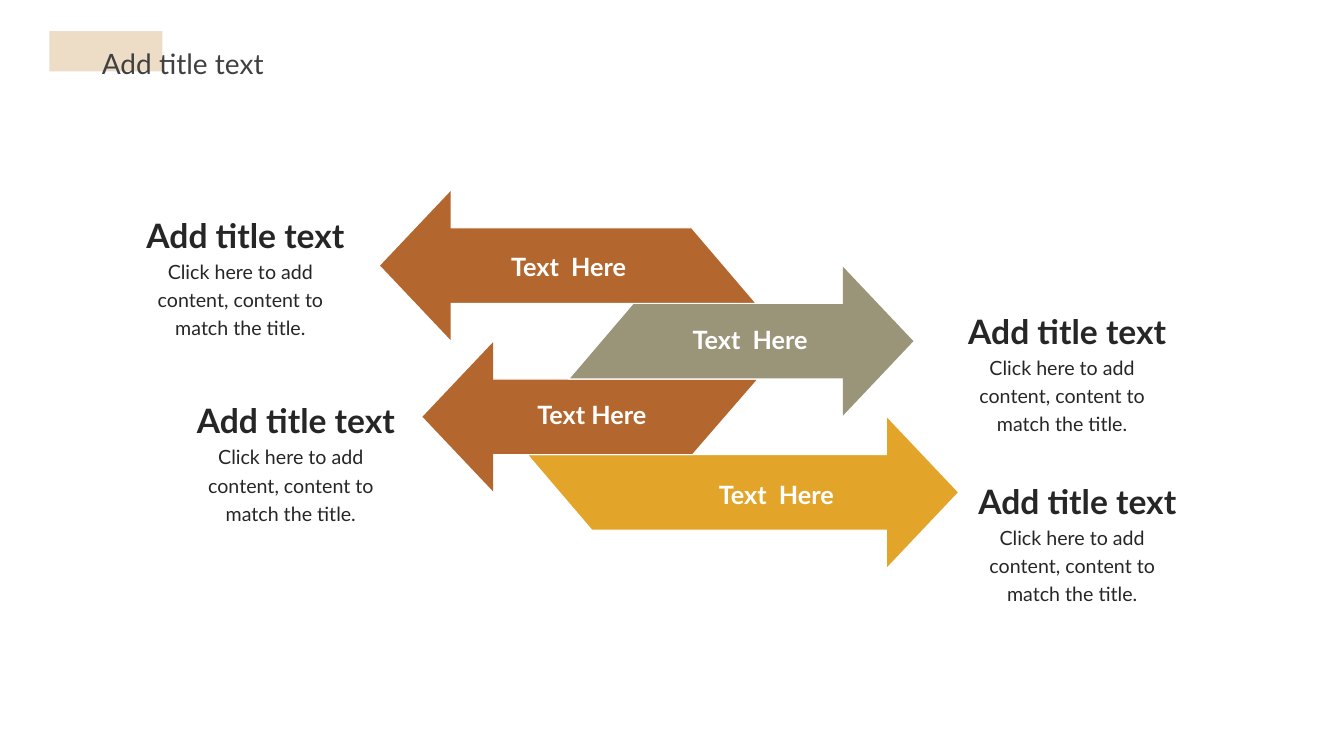
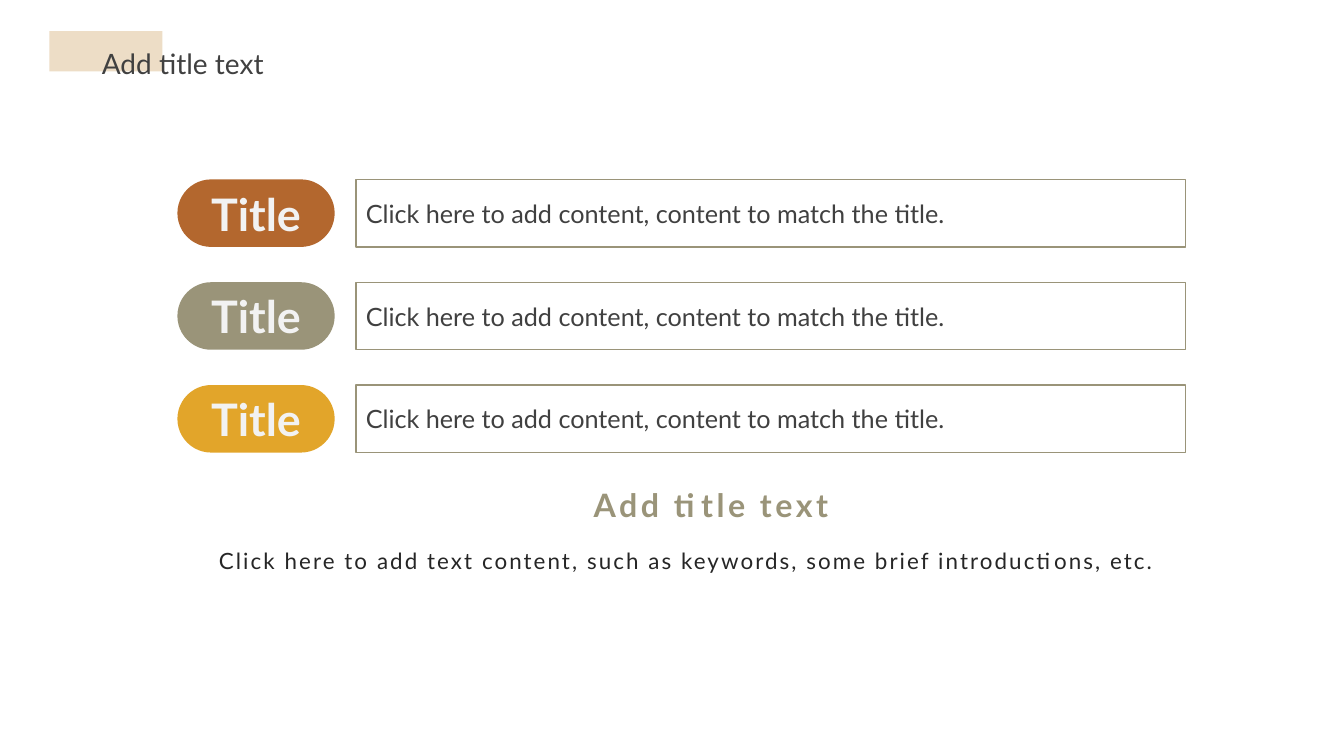
"""Build two slides: staggered arrows with captions, and a list of titled rows."""
from pptx import Presentation
from pptx.dml.color import RGBColor
from pptx.enum.shapes import MSO_SHAPE
from pptx.enum.text import MSO_ANCHOR, PP_ALIGN
from pptx.util import Inches, Pt


class Theme:
    """Colours, font and type formats of the deck."""
    font = "Lato"
    sand, rust, sage, gold = "EDDDC6", "B3672E", "9A9479", "E2A52A"
    white, pale, ink, grey = "FFFFFF", "F2F2F2", "262626", "404040"
    title = {"size": 20, "color": grey, "align": PP_ALIGN.JUSTIFY, "lead": 1.5}
    label = {"size": 18, "color": white, "bold": True, "align": PP_ALIGN.CENTER}
    head = {"size": 24, "color": ink, "bold": True, "align": PP_ALIGN.CENTER,
            "anchor": MSO_ANCHOR.BOTTOM, "inset": 0}
    note = {"size": 14, "color": ink, "align": PP_ALIGN.CENTER, "lead": 1.2,
            "inset": 0}
    pill = {"size": 32, "color": pale, "bold": True, "align": PP_ALIGN.CENTER,
            "anchor": MSO_ANCHOR.MIDDLE}
    row = {"size": 18, "color": grey, "anchor": MSO_ANCHOR.MIDDLE}
    sub = {"size": 23, "color": sage, "bold": True, "track": 2.5}
    foot = {"size": 16, "color": ink, "align": PP_ALIGN.CENTER, "lead": 1.5,
            "after": 15, "indent": 0.51, "track": 1.5}


TITLE = "Add title text"
NOTE = "Click here to add content, content to match the title."
FOOT = ("Click here to add text content, such as keywords, "
        "some brief introductions, etc.")

# colour, tip x, far end at top, far end at bottom, label, label x, label y
ARROWS = [
    (Theme.rust, 3.77, 6.86, 7.5, "Text  Here", 4.71, 2.44),
    (Theme.sage, 9.06, 6.28, 5.64, "Text  Here", 6.51, 3.17),
    (Theme.rust, 4.19, 7.52, 6.87, "Text Here", 4.94, 3.91),
    (Theme.gold, 9.5, 5.23, 5.87, "Text  Here", 6.77, 4.71),
]
NOTES = [(1.35, 2.07), (1.85, 3.91), (9.5, 3.02), (9.6, 4.71)]
ROWS = [("Title", NOTE, tone) for tone in (Theme.rust, Theme.sage, Theme.gold)]

TOP, PITCH = 2.26, 0.75
HEAD, REACH, LAP = 0.7, 0.74, 0.62


def rgb(tone):
    """Turn a hex string into a colour."""
    return RGBColor.from_string(tone)


def write(shape, text, style):
    """Fill a shape with one formatted paragraph."""
    frame = shape.text_frame
    frame.text = text
    para = frame.paragraphs[0]
    run = para.runs[0]
    x, y = (style.get("inset", side) for side in (0.1, 0.05))
    formats = [
        (frame, {"word_wrap": True,
                 "vertical_anchor": style.get("anchor", MSO_ANCHOR.TOP),
                 "margin_left": Inches(x), "margin_right": Inches(x),
                 "margin_top": Inches(y), "margin_bottom": Inches(y)}),
        (para, {"alignment": style.get("align", PP_ALIGN.LEFT),
                "line_spacing": style.get("lead", 1.0),
                "space_before": Pt(0),
                "space_after": Pt(style.get("after", 0))}),
        (run.font, {"name": Theme.font, "size": Pt(style["size"]),
                    "bold": style.get("bold", False)}),
    ]
    for part, values in formats:
        for name, value in values.items():
            setattr(part, name, value)
    run.font.color.rgb = rgb(style["color"])
    if "track" in style:
        run.font._element.set("spc", str(int(style["track"] * 100)))
    if "indent" in style:
        para._p.get_or_add_pPr().set("indent", str(Inches(style["indent"])))


def paint(shape, fill=None, line=None, width=1):
    """Set the fill and outline of a shape and drop its shadow."""
    shape.shadow.inherit = False
    if fill:
        shape.fill.solid()
        shape.fill.fore_color.rgb = rgb(fill)
    else:
        shape.fill.background()
    if line:
        shape.line.color.rgb = rgb(line)
        shape.line.width = Pt(width)
    else:
        shape.line.fill.background()
    return shape


def block(slide, kind, box, **look):
    """Add a painted preset shape."""
    return paint(slide.shapes.add_shape(kind, *map(Inches, box)), **look)


def label(slide, text, box, style):
    """Add a text box."""
    write(slide.shapes.add_textbox(*map(Inches, box)), text, style)


def outline(slide, points, **look):
    """Add a painted closed outline."""
    first, *rest = [(Inches(x), Inches(y)) for x, y in points]
    pen = slide.shapes.build_freeform(*first)
    pen.add_line_segments(rest, close=True)
    paint(pen.convert_to_shape(), **look)


def start(deck):
    """Add a slide with its band and title."""
    slide = deck.slides.add_slide(deck.slide_layouts[5])
    band = block(slide, MSO_SHAPE.RECTANGLE, (0.49, 0.31, 1.12, 0.4),
                 fill=Theme.sand)
    title = slide.shapes.title
    title._element.addprevious(band._element)
    names = ("left", "top", "width", "height")
    for name, value in zip(names, (0.91, 0.24, 3.5, 0.55)):
        setattr(title, name, Inches(value))
    write(title, TITLE, Theme.title)
    return slide


def arrow(slide, step, tone, tip, upper, lower):
    """Draw a slanted shaft and its head on the given step."""
    top = TOP + step * PITCH
    low, mid = top + PITCH, top + PITCH / 2
    way = 1 if upper > tip else -1
    neck, base = tip + way * LAP, tip + way * HEAD
    outline(slide, [(neck, top), (upper, top), (lower, low), (neck, low)],
            fill=tone, line=Theme.white, width=0.75)
    outline(slide, [(tip, mid), (base, mid - REACH), (base, mid + REACH)],
            fill=tone)


def arrows(deck):
    """Build the slide of arrows."""
    slide = start(deck)
    for step, (tone, tip, upper, lower, *_) in reversed(list(enumerate(ARROWS))):
        arrow(slide, step, tone, tip, upper, lower)
    for *_, text, x, y in ARROWS:
        label(slide, text, (x, y, 1.86, 0.4), Theme.label)
    for x, y in NOTES:
        label(slide, TITLE, (x, y, 2.17, 0.46), Theme.head)
        label(slide, NOTE, (x, y + 0.46, 2.07, 0.65), Theme.note)


def rows(deck):
    """Build the slide of titled rows."""
    slide = start(deck)
    for step, (name, text, tone) in enumerate(ROWS):
        y = 1.78 + step * 1.02
        pill = block(slide, MSO_SHAPE.ROUNDED_RECTANGLE, (1.76, y, 1.56, 0.67),
                     fill=tone)
        pill.adjustments[0] = 0.5
        write(pill, name, Theme.pill)
        bar = block(slide, MSO_SHAPE.RECTANGLE, (3.53, y, 8.23, 0.67),
                    line=Theme.sage)
        write(bar, text, Theme.row)
    label(slide, FOOT, (0.64, 5.25, 11.83, 0.46), Theme.foot)
    label(slide, TITLE, (5.79, 4.77, 2.67, 0.49), Theme.sub)


def main():
    """Build and save the deck."""
    deck = Presentation()
    deck.slide_width, deck.slide_height = Inches(13.33), Inches(7.5)
    arrows(deck)
    rows(deck)
    deck.save("out.pptx")


if __name__ == "__main__":
    main()
